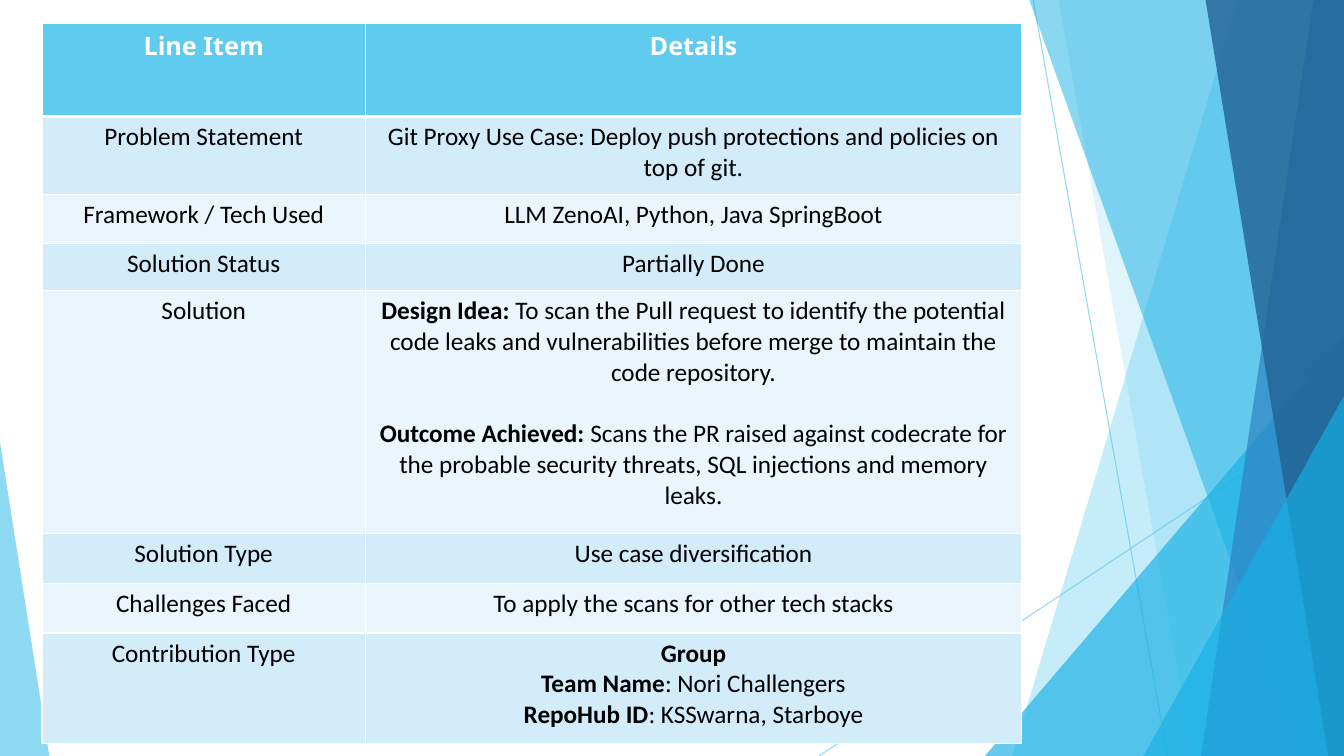
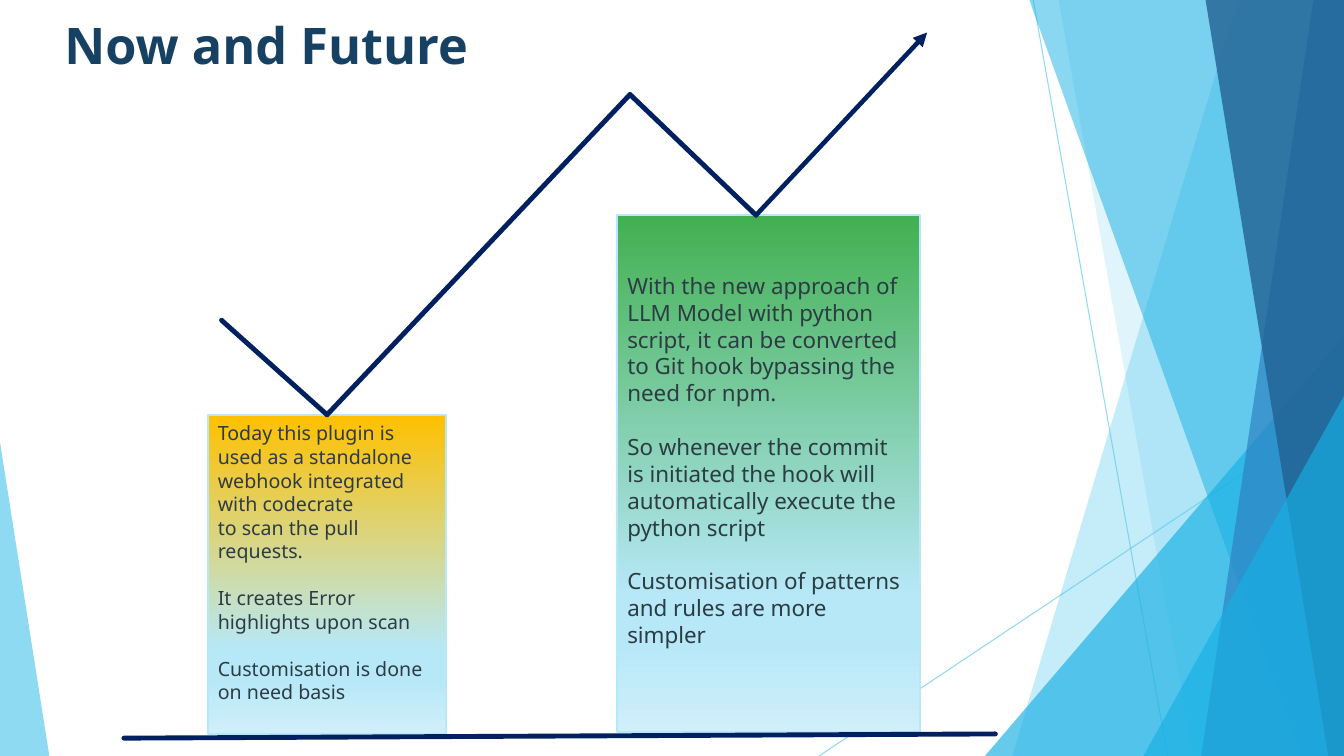
from dataclasses import dataclass
from itertools import pairwise

import lxml.etree
import pptx
import pptx.dml.color
import pptx.enum.shapes
import pptx.enum.text
import pptx.oxml.ns
import pptx.util

# Lengths are px on a 1280 x 720 slide
EMU_PER_PX = 9525
WIDTH, HEIGHT = 1280, 720

SKY, CYAN, BLUE, NAVY = "5FCBEF", "17B0E4", "2E83C3", "226292"
WHITE, BLACK, TITLE_COLOR, BODY_COLOR = "FFFFFF", "000000", "174162", "2C3C43"
BAND_DARK, BAND_LIGHT = "D2ECF9", "EAF6FC"
BAR_EDGE, BAR_FOOT, TREND_COLOR = "B7E8F8", "CFEFFA", "002060"
HEAD_FONT, TABLE_FONT = "Noto Sans", "Calibri"

qn = pptx.oxml.ns.qn
Pt = pptx.util.Pt
SHAPE = pptx.enum.shapes.MSO_SHAPE
CENTER = pptx.enum.text.PP_ALIGN.CENTER


@dataclass(frozen=True)
class Ray:
    """Band that reaches from a slanted left edge to the right slide edge."""
    top_x: int
    bottom_x: int
    color: str
    alpha: int


@dataclass(frozen=True)
class Wedge:
    """Triangle standing on the bottom slide edge."""
    left: int
    top: int
    width: int
    apex: int
    color: str
    alpha: int


@dataclass(frozen=True)
class Line:
    start: tuple[int, int]
    end: tuple[int, int]
    color: str
    points: float
    alpha: int = 100
    arrow: bool = False
    rounded: bool = False


@dataclass(frozen=True)
class Row:
    """Table row; each detail paragraph is a bold label and plain text."""
    height: int
    item: str
    details: tuple[tuple[str, str], ...]
    gap: float = 0


@dataclass(frozen=True)
class Bar:
    """Gradient bar; each block of paragraphs is set apart by one line."""
    box: tuple[int, int, int, int]
    color: str
    size: int
    blocks: tuple[tuple[str, ...], ...]


BACKDROP_LINES = (
    Line((984, 0), (1112, 720), SKY, 0.75, 70),
    Line((1280, 387), (780, 720), SKY, 0.75, 70),
)
BACKDROP = (
    Ray(1179, 964, SKY, 36),
    Ray(1008, 1136, SKY, 20),
    Wedge(938, 320, 342, 1, CYAN, 66),
    Ray(980, 1239, CYAN, 50),
    Ray(1251, 1144, BLUE, 70),
    Ray(1148, 1265, NAVY, 80),
    Wedge(1089, 377, 191, 1, CYAN, 66),
    Wedge(0, 421, 47, 0, SKY, 70),
)

TABLE_LEFT, TABLE_TOP = 40, 22
COLUMNS = (308, 625)
ROWS = (
    Row(89, "Line Item", (("Details", ""),)),
    Row(74, "Problem Statement", (
        ("", "Git Proxy Use Case: Deploy push protections and policies on top of git."),)),
    Row(47, "Framework / Tech Used", (("", "LLM ZenoAI, Python, Java SpringBoot"),)),
    Row(45, "Solution Status", (("", "Partially Done"),)),
    Row(231, "Solution", (
        ("Design Idea: ", "To scan the Pull request to identify the potential code leaks "
         "and vulnerabilities before merge to maintain the code repository."),
        ("Outcome Achieved:", " Scans the PR raised against codecrate for the probable "
         "security threats, SQL injections and memory leaks.")), gap=22),
    Row(48, "Solution Type", (("", "Use case diversification"),)),
    Row(47, "Challenges Faced", (("", "To apply the scans for other tech stacks"),)),
    Row(105, "Contribution Type", (
        ("Group", ""), ("Team Name", ": Nori Challengers"),
        ("RepoHub ID", ": KSSwarna, Starboye"))),
)

BARS = (
    Bar((198, 395, 227, 304), "FFC000", 14, (
        ("Today this plugin is used as a standalone webhook integrated with codecrate",
         "to scan the pull requests."),
        ("It creates Error highlights upon scan",),
        ("Customisation is done on need basis",))),
    Bar((588, 205, 288, 492), "42B051", 16, (
        ("With the new approach of LLM Model with python script, it can be converted "
         "to Git hook bypassing the need for npm.",),
        ("So whenever the commit is initiated the hook will automatically execute "
         "the python script",),
        ("Customisation of patterns and rules are more simpler",))),
)
TREND = ((211, 305), (311, 395), (600, 90), (720, 205), (883, 31))
BASELINE = Line((118, 703), (948, 699), TREND_COLOR, 3.5, rounded=True)


# Shared helpers
def px(value: float) -> int:
    return round(value * EMU_PER_PX)


def rgb(color: str):
    return pptx.dml.color.RGBColor.from_string(color)


def set_alpha(element, alpha: int) -> None:
    if alpha < 100:
        color = element.find(f".//{qn('a:srgbClr')}")
        lxml.etree.SubElement(color, qn("a:alpha"), val=str(alpha * 1000))


def style(paragraph, font: str, size: int, color: str, bold: bool | None = None) -> None:
    paragraph.font.name = font
    paragraph.font.size = Pt(size)
    paragraph.font.color.rgb = rgb(color)
    paragraph.font.bold = bold


def draw_line(slide, line: Line):
    connector = slide.shapes.add_connector(
        pptx.enum.shapes.MSO_CONNECTOR.STRAIGHT, *map(px, line.start + line.end))
    connector.line.color.rgb = rgb(line.color)
    connector.line.width = Pt(line.points)
    properties = connector.element.spPr
    outline = properties.find(qn("a:ln"))
    set_alpha(outline, line.alpha)
    if line.rounded:
        outline.set("cap", "rnd")
        lxml.etree.SubElement(outline, qn("a:round"))
    if line.arrow:
        lxml.etree.SubElement(outline, qn("a:tailEnd"), type="triangle")
    lxml.etree.SubElement(properties, qn("a:effectLst"))
    return connector


# Backdrop
def draw_facet(slide, facet: Ray | Wedge) -> None:
    if isinstance(facet, Ray):
        builder = slide.shapes.build_freeform(facet.top_x, -1, scale=EMU_PER_PX)
        builder.add_line_segments(
            [(WIDTH, -1), (WIDTH, HEIGHT), (facet.bottom_x, HEIGHT)], close=True)
        shape = builder.convert_to_shape()
    else:
        shape = slide.shapes.add_shape(
            SHAPE.ISOSCELES_TRIANGLE, px(facet.left), px(facet.top),
            px(facet.width), px(HEIGHT - facet.top))
        shape.adjustments[0] = facet.apex
    shape.shadow.inherit = False
    shape.fill.solid()
    shape.fill.fore_color.rgb = rgb(facet.color)
    set_alpha(shape.element.spPr, facet.alpha)
    shape.line.fill.background()


def add_slide(presentation):
    slide = presentation.slides.add_slide(presentation.slide_layouts[6])
    for line in BACKDROP_LINES:
        draw_line(slide, line)
    for facet in BACKDROP:
        draw_facet(slide, facet)
    return slide


# Table slide
def set_borders(cell, bottom: int) -> None:
    properties = cell._tc.get_or_add_tcPr()
    for side, points in (("L", 1), ("R", 1), ("T", 1), ("B", bottom)):
        border = lxml.etree.SubElement(properties, qn(f"a:ln{side}"), w=str(Pt(points)))
        fill = lxml.etree.SubElement(border, qn("a:solidFill"))
        lxml.etree.SubElement(fill, qn("a:srgbClr"), val=WHITE)


def fill_cell(cell, paragraphs, header: bool, color: str, gap: float) -> None:
    set_borders(cell, 3 if header else 1)
    cell.fill.solid()
    cell.fill.fore_color.rgb = rgb(color)
    for index, (label, text) in enumerate(paragraphs):
        paragraph = cell.text_frame.paragraphs[0] if index == 0 else cell.text_frame.add_paragraph()
        paragraph.alignment = CENTER
        if header:
            style(paragraph, HEAD_FONT, 18, WHITE, True)
        else:
            style(paragraph, TABLE_FONT, 18, BLACK)
        if index and gap:
            paragraph.space_before = Pt(gap)
        for content, bold in ((label, True), (text, False)):
            if content:
                run = paragraph.add_run()
                run.text = content
                run.font.bold = bold


def draw_table(slide) -> None:
    table = slide.shapes.add_table(
        len(ROWS), len(COLUMNS), px(TABLE_LEFT), px(TABLE_TOP),
        px(sum(COLUMNS)), px(sum(row.height for row in ROWS))).table
    for column, width in zip(table.columns, COLUMNS):
        column.width = px(width)
    for index, row in enumerate(ROWS):
        header = index == 0
        table.rows[index].height = px(row.height)
        color = SKY if header else (BAND_LIGHT, BAND_DARK)[index % 2]
        item = ((row.item, ""),) if header else (("", row.item),)
        for column, paragraphs in enumerate((item, row.details)):
            fill_cell(table.cell(index, column), paragraphs, header, color, row.gap)


# Growth slide
def draw_title(slide, text: str) -> None:
    frame = slide.shapes.add_textbox(px(52), px(9), px(1104), px(139)).text_frame
    frame.word_wrap = True
    frame.text = text
    style(frame.paragraphs[0], HEAD_FONT, 36, TITLE_COLOR, True)


def draw_bar(slide, bar: Bar):
    shape = slide.shapes.add_shape(SHAPE.RECTANGLE, *map(px, bar.box))
    shape.shadow.inherit = False
    shape.line.color.rgb = rgb(BAR_EDGE)
    shape.line.width = Pt(1.5)
    shape.fill.gradient()
    shape.fill.gradient_angle = 270
    stops = shape.element.spPr.find(f".//{qn('a:gsLst')}")
    stops.clear()
    for position, color in ((0, bar.color), (74, BAR_EDGE), (83, BAR_EDGE), (100, BAR_FOOT)):
        stop = lxml.etree.SubElement(stops, qn("a:gs"), pos=str(position * 1000))
        lxml.etree.SubElement(stop, qn("a:srgbClr"), val=color)

    # Text sits one line above the middle of the bar's free height
    pitch = Pt(bar.size * 1.2)
    frame = shape.text_frame
    frame.word_wrap = True
    frame.vertical_anchor = pptx.enum.text.MSO_ANCHOR.MIDDLE
    frame.margin_bottom = frame.margin_top + pitch
    lines = [(text, number > 0 and text == block[0])
             for number, block in enumerate(bar.blocks) for text in block]
    for index, (text, spaced) in enumerate(lines):
        paragraph = frame.add_paragraph() if index else frame.paragraphs[0]
        paragraph.text = text
        paragraph.alignment = pptx.enum.text.PP_ALIGN.LEFT
        paragraph.line_spacing = pitch
        if spaced:
            paragraph.space_before = pitch
        style(paragraph, HEAD_FONT, bar.size, BODY_COLOR)
    return shape


def draw_trend(slide, first_bar) -> None:
    last = len(TREND) - 2
    segments = [
        draw_line(slide, Line(start, end, TREND_COLOR, 3.25 if index == last else 3.5,
                              arrow=index == last, rounded=True))
        for index, (start, end) in enumerate(pairwise(TREND))]
    segments[0].end_connect(first_bar, 0)
    segments[1].begin_connect(first_bar, 0)


def main() -> None:
    presentation = pptx.Presentation()
    presentation.slide_width, presentation.slide_height = px(WIDTH), px(HEIGHT)
    draw_table(add_slide(presentation))

    growth = add_slide(presentation)
    draw_title(growth, "Now and Future")
    bars = [draw_bar(growth, bar) for bar in BARS]
    draw_trend(growth, bars[0])
    draw_line(growth, BASELINE)
    presentation.save("out.pptx")


if __name__ == "__main__":
    main()
